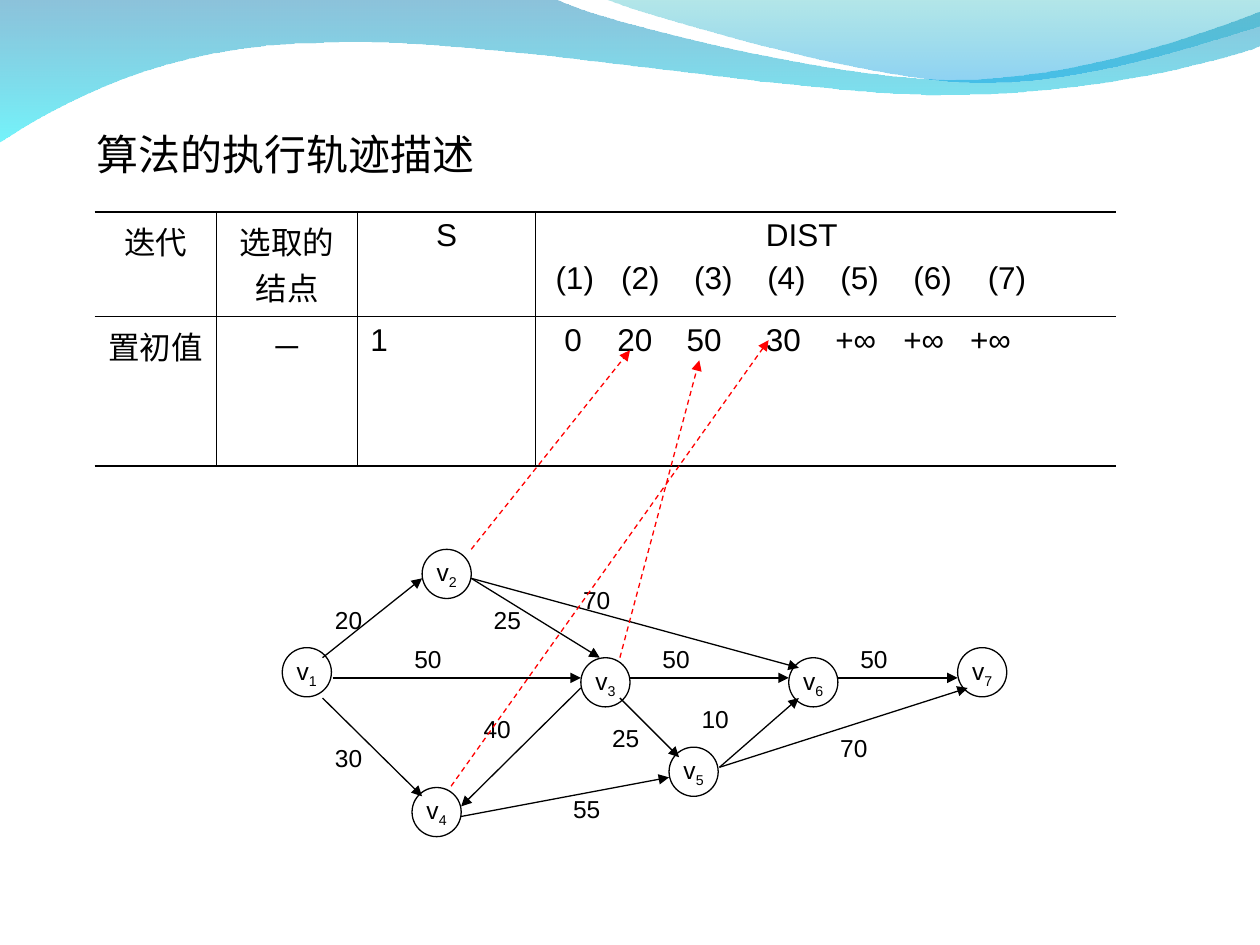
import dataclasses
import typing

import lxml.etree
import pptx
import pptx.dml.color
import pptx.enum.dml
import pptx.enum.shapes
import pptx.enum.text
import pptx.oxml.ns
import pptx.util

Inches = pptx.util.Inches
Pt = pptx.util.Pt
Point = typing.Tuple[float, float]
CENTER = pptx.enum.text.PP_ALIGN.CENTER
LEFT = pptx.enum.text.PP_ALIGN.LEFT
MIDDLE = pptx.enum.text.MSO_ANCHOR.MIDDLE


@dataclasses.dataclass(frozen=True)
class Theme:
    ink: str = "000000"
    accent: str = "FF0000"
    font: str = "Arial"
    title_font: str = "TeX Gyre Pagella"
    title_size: float = 24
    table_size: float = 18
    graph_size: float = 14
    thin: float = 0.45
    thick: float = 1.08
    edge: float = 0.75


class Stop(typing.NamedTuple):
    color: str
    opacity: int


class Wave(typing.NamedTuple):
    start: Point
    segments: list  # one point is a line, three points are a Bezier curve
    stops: typing.Tuple[Stop, Stop]


class Node(typing.NamedTuple):
    number: str
    left: float
    top: float


class Edge(typing.NamedTuple):
    start: Point
    end: Point


class Label(typing.NamedTuple):
    text: str
    left: float
    top: float


class CellText(typing.NamedTuple):
    lines: typing.List[str]
    align: typing.Any = CENTER
    tabs: typing.Sequence[typing.Sequence[float]] = ()


THEME = Theme()
NODE_SIZE = 0.39
LABEL_WIDTH, LABEL_HEIGHT = 0.47, 0.34

WAVES = [
    Wave((0, -0.01), [
        [(4.4, -0.01)],
        [(4.76, 0.17), (6.64, 0.63), (7.58, 0.63)],
        [(8.53, 0.63), (9.58, 0.26), (10, 0.09)],
        [(10.01, 0.36)],
        [(9.83, 0.44), (8.7, 0.76), (7.46, 0.75)],
        [(6.22, 0.75), (3.82, 0.28), (2.57, 0.34)],
        [(1.29, 0.35), (0.46, 0.83), (-0.01, 1.13)],
        [(0, -0.01)],
    ], (Stop("0079AF", 45), Stop("00EBF8", 55))),
    Wave((4.79, -0.01), [
        [(5.09, 0.11), (6.82, 0.62), (7.69, 0.65)],
        [(8.56, 0.69), (9.61, 0.32), (10, 0.21)],
        [(10, 0)],
        [(4.79, -0.01)],
    ], (Stop("00ADB6", 30), Stop("009BE5", 45))),
]

COLUMN_WIDTHS = [0.97, 1.12, 1.41, 4.61]
ROW_HEIGHTS = [0.83, 1.19]
INDEX_TABS = [0.06, 0.58, 1.16, 1.74, 2.32, 2.9, 3.49]
VALUE_TABS = [0.13, 0.55, 1.1, 1.73, 2.28, 2.82, 3.35]
INDICES = "".join(f"\t({index})" for index in range(1, 8))
VALUES = "".join(f"\t{value}" for value in ["0", "20", "50", "30"] + ["+∞"] * 3)
ROWS = [
    [CellText(["迭代"]), CellText(["选取的结点"]), CellText(["S"]),
     CellText(["\tDIST", INDICES], LEFT, [[1.73], INDEX_TABS])],
    [CellText(["置初值"]), CellText(["－"]), CellText(["1"], LEFT),
     CellText([VALUES], LEFT, [VALUE_TABS])],
]

NODES = [Node("1", 2.24, 5.14), Node("2", 3.35, 4.36), Node("4", 3.27, 6.25),
         Node("3", 4.61, 5.22), Node("5", 5.31, 5.93), Node("6", 6.26, 5.22),
         Node("7", 7.6, 5.14)]
EDGES = [Edge((2.56, 5.22), (3.35, 4.59)), Edge((2.56, 5.54), (3.35, 6.32)),
         Edge((2.64, 5.38), (4.61, 5.38)), Edge((3.74, 4.59), (4.76, 5.22)),
         Edge((4.61, 5.46), (3.66, 6.4)), Edge((3.66, 6.48), (5.31, 6.17)),
         Edge((5, 5.38), (6.26, 5.38)), Edge((5.71, 6.09), (6.34, 5.54)),
         Edge((6.65, 5.38), (7.6, 5.38)), Edge((5.71, 6.09), (7.68, 5.46)),
         Edge((3.74, 4.59), (6.34, 5.3)), Edge((4.92, 5.54), (5.39, 6.01))]
LABELS = [Label("20", 2.56, 4.75), Label("50", 3.19, 5.06), Label("25", 3.82, 4.75),
          Label("70", 4.53, 4.59), Label("50", 6.73, 5.06), Label("70", 6.57, 5.77),
          Label("10", 5.47, 5.54), Label("50", 5.16, 5.06), Label("55", 4.45, 6.25),
          Label("40", 3.74, 5.62), Label("30", 2.56, 5.85), Label("25", 4.76, 5.69)]
UPDATES = [Edge((3.74, 4.36), (5, 2.78)), Edge((4.92, 5.22), (5.55, 2.86)),
           Edge((3.58, 6.24), (6.1, 2.7))]


def rgb(color: str):
    return pptx.dml.color.RGBColor.from_string(color)


def add_child(parent, tag: str, **attributes: str):
    child = lxml.etree.SubElement(parent, pptx.oxml.ns.qn(tag))
    for name, value in attributes.items():
        child.set(name, value)
    return child


def add_run(paragraph, text: str, size: float, font: str = THEME.font):
    run = paragraph.add_run()
    run.text = text
    for name, value in {"name": font, "size": Pt(size)}.items():
        setattr(run.font, name, value)
    run.font.color.rgb = rgb(THEME.ink)
    return run


def bend_segments(shape, segments: list) -> None:
    """Turn the straight segments that have control points into Bezier curves."""
    for line, segment in zip(shape._element.xpath(".//a:path/a:lnTo"), segments):
        if len(segment) == 3:
            line.tag = pptx.oxml.ns.qn("a:cubicBezTo")
            line.remove(line[0])
            for x, y in segment:
                add_child(line, "a:pt", x=str(Inches(x) - shape.left),
                          y=str(Inches(y) - shape.top))


def draw_wave(slide, wave: Wave) -> None:
    builder = slide.shapes.build_freeform(*map(Inches, wave.start), scale=1.0)
    builder.add_line_segments([tuple(map(Inches, segment[-1])) for segment in wave.segments])
    shape = builder.convert_to_shape()
    bend_segments(shape, wave.segments)
    shape.shadow.inherit = False
    shape.line.fill.background()
    shape.fill.gradient()
    shape.fill.gradient_angle = 270
    for position, (target, stop) in enumerate(zip(shape.fill.gradient_stops, wave.stops)):
        target.position = position
        target.color.rgb = rgb(stop.color)
    for color, stop in zip(shape._element.xpath(".//a:gs/a:srgbClr"), wave.stops):
        add_child(color, "a:alpha", val=str(stop.opacity * 1000))


def draw_text(slide, label: Label, width: float, height: float,
              size: float, font: str = THEME.font):
    box = slide.shapes.add_textbox(*map(Inches, (label.left, label.top, width, height)))
    box.text_frame.word_wrap = True
    add_run(box.text_frame.paragraphs[0], label.text, size, font)
    return box


def set_borders(cell, widths: typing.Dict[str, float]) -> None:
    properties = cell._tc.get_or_add_tcPr()
    for side, width in widths.items():
        border = add_child(properties, f"a:ln{side}", w=str(Pt(width)))
        if width:
            fill = add_child(border, "a:solidFill")
            add_child(fill, "a:srgbClr", val=THEME.ink)
        else:
            add_child(border, "a:noFill")


def draw_table(slide) -> None:
    table = slide.shapes.add_table(len(ROWS), len(COLUMN_WIDTHS), Inches(0.75), Inches(1.68),
                                   Inches(sum(COLUMN_WIDTHS)), Inches(sum(ROW_HEIGHTS))).table
    table.first_row = table.horz_banding = False
    for column, width in zip(table.columns, COLUMN_WIDTHS):
        column.width = Inches(width)
    for row, height in zip(table.rows, ROW_HEIGHTS):
        row.height = Inches(height)
    last_row, last_column = len(ROWS) - 1, len(COLUMN_WIDTHS) - 1
    for row, contents in enumerate(ROWS):
        for column, content in enumerate(contents):
            cell = table.cell(row, column)
            set_borders(cell, {"L": THEME.thin if column else 0,
                               "R": THEME.thin if column < last_column else 0,
                               "T": THEME.thin if row else THEME.thick,
                               "B": THEME.thin if row < last_row else THEME.thick})
            cell.fill.background()
            for index, line in enumerate(content.lines):
                frame = cell.text_frame
                paragraph = frame.add_paragraph() if index else frame.paragraphs[0]
                paragraph.alignment = content.align
                if index:
                    paragraph.space_before = Pt(4.5)
                if content.tabs:
                    tabs = add_child(paragraph._p.get_or_add_pPr(), "a:tabLst")
                    for position in content.tabs[index]:
                        add_child(tabs, "a:tab", pos=str(Inches(position)), algn="l")
                add_run(paragraph, line, THEME.table_size)


def draw_node(slide, node: Node) -> None:
    shape = slide.shapes.add_shape(pptx.enum.shapes.MSO_SHAPE.OVAL, *map(
        Inches, (node.left, node.top, NODE_SIZE, NODE_SIZE)))
    shape.shadow.inherit = False
    shape.fill.background()
    shape.line.color.rgb = rgb(THEME.ink)
    shape.line.width = Pt(THEME.edge)
    for name, value in {"word_wrap": False, "vertical_anchor": MIDDLE}.items():
        setattr(shape.text_frame, name, value)
    paragraph = shape.text_frame.paragraphs[0]
    paragraph.alignment = CENTER
    add_run(paragraph, "v", THEME.graph_size)
    subscript = add_run(paragraph, node.number, THEME.graph_size)
    subscript.font._element.set("baseline", "-25000")


def draw_arrow(slide, edge: Edge, color: str, dashed: bool = False) -> None:
    connector = slide.shapes.add_connector(pptx.enum.shapes.MSO_CONNECTOR.STRAIGHT,
                                           *map(Inches, (*edge.start, *edge.end)))
    connector.line.color.rgb = rgb(color)
    connector.line.width = Pt(THEME.edge)
    if dashed:
        connector.line.dash_style = pptx.enum.dml.MSO_LINE.DASH
    add_child(connector.line._get_or_add_ln(), "a:tailEnd", type="triangle")
    add_child(connector._element.spPr, "a:effectLst")


def main() -> None:
    presentation = pptx.Presentation()
    presentation.slide_width, presentation.slide_height = Inches(10), Inches(7.5)
    slide = presentation.slides.add_slide(presentation.slide_layouts[6])
    # Header waves and title
    for wave in WAVES:
        draw_wave(slide, wave)
    title = draw_text(slide, Label("算法的执行轨迹描述", 0.67, 0.97), 4.42, 0.5,
                      THEME.title_size, THEME.title_font)
    title.text_frame.vertical_anchor = MIDDLE
    # Trace table
    draw_table(slide)
    # Weighted graph
    for node in NODES:
        draw_node(slide, node)
    for edge in EDGES:
        draw_arrow(slide, edge, THEME.ink)
    for label in LABELS:
        draw_text(slide, label, LABEL_WIDTH, LABEL_HEIGHT, THEME.graph_size)
    # Arrows from nodes to their initial distances
    for update in UPDATES:
        draw_arrow(slide, update, THEME.accent, dashed=True)
    presentation.save("out.pptx")


if __name__ == "__main__":
    main()
